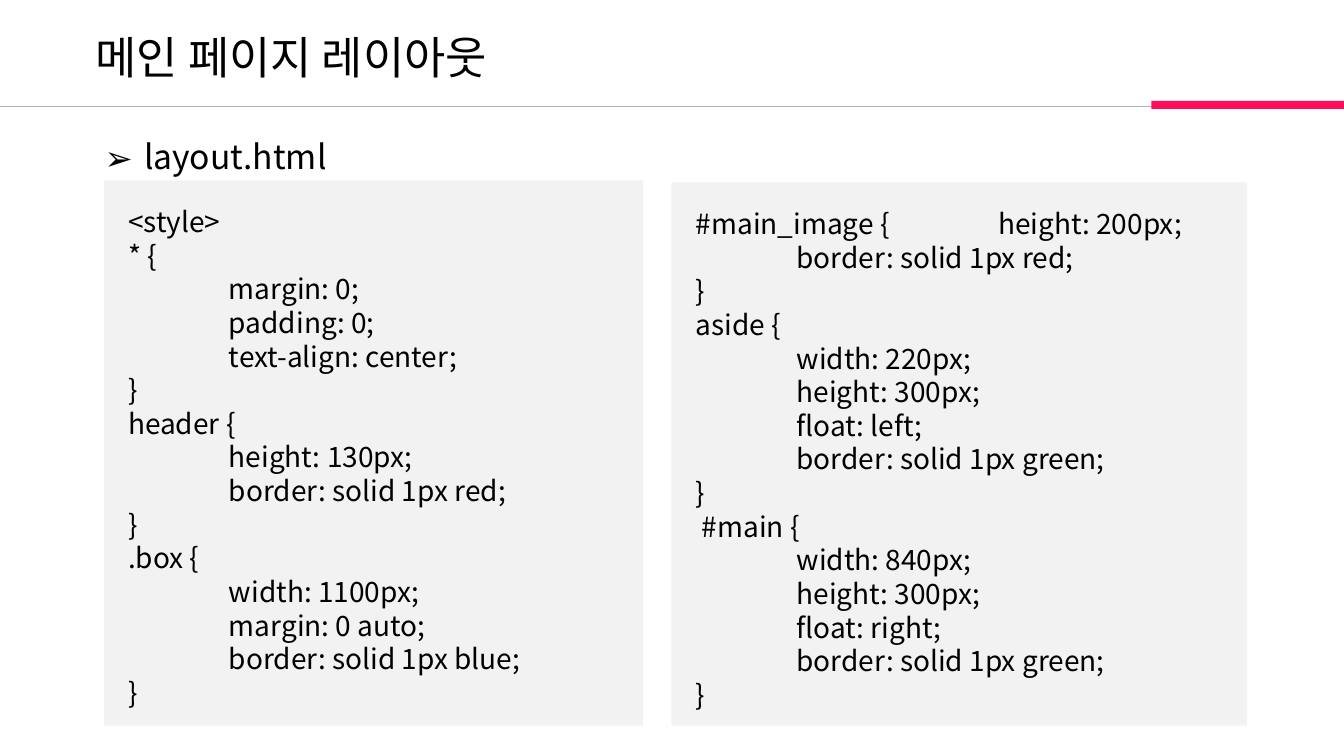
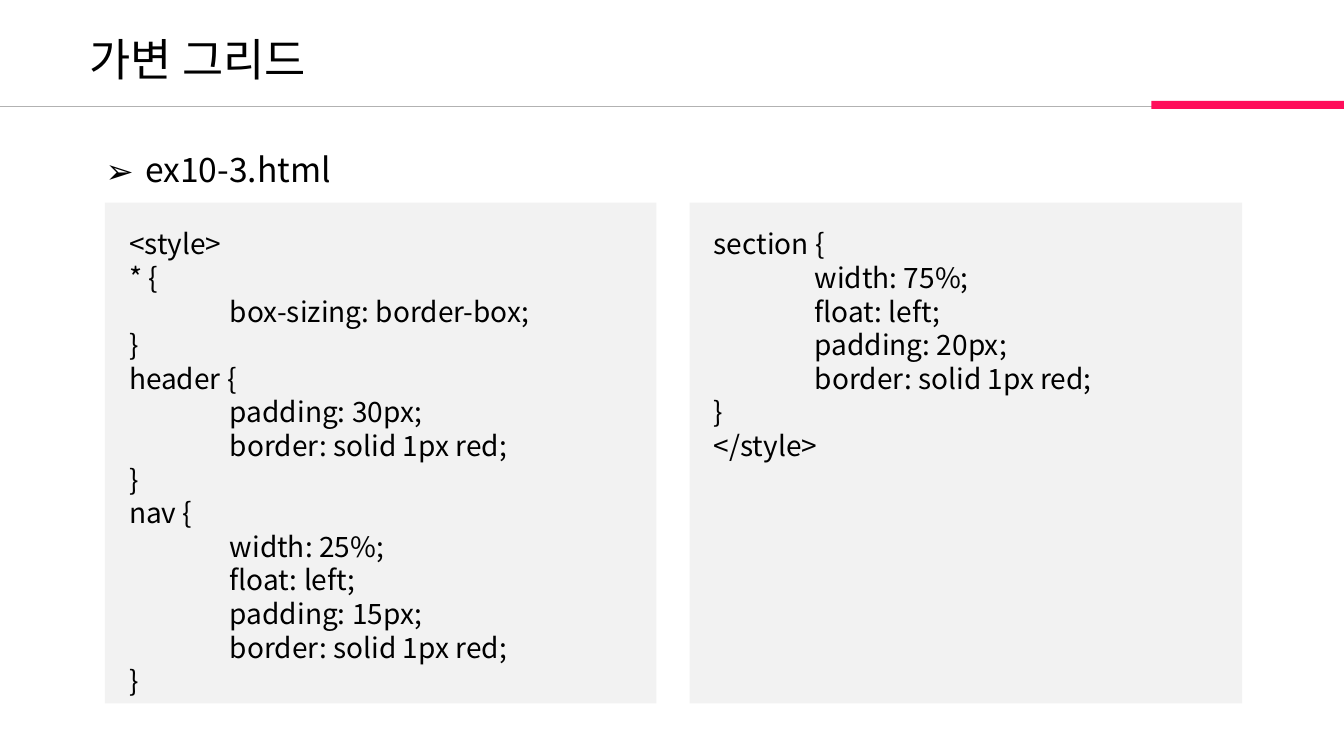
"""Build two slides of CSS listings under a shared title band."""
from dataclasses import dataclass

import lxml.etree
import pptx
import pptx.dml.color
import pptx.enum.shapes
import pptx.enum.text
import pptx.oxml.ns
import pptx.util

EMU_PER_PX = 9144
SLIDE_WIDTH, SLIDE_HEIGHT = 1333, 750
RULE_TOP = 106
CODE_INSET = 24
CODE_TAB = 100
BULLET_INDENT = 39
FONT = "Noto Sans CJK KR"
COLORS = {"text": "000000", "accent": "FF0D5A", "rule": "B2B2B2", "panel": "F2F2F2"}


@dataclass(frozen=True)
class Box:
    left: int
    top: int
    width: int
    height: int


@dataclass(frozen=True)
class Label:
    text: str
    box: Box


@dataclass(frozen=True)
class Listing:
    box: Box
    lines: tuple[str, ...]


@dataclass(frozen=True)
class Page:
    title: Label
    filename: Label
    listings: tuple[Listing, ...]


ACCENT = Box(1142, 100, 192, 8)

PAGES = (
    Page(
        Label("메인 페이지 레이아웃", Box(85, 25, 874, 64)),
        Label("layout.html", Box(94, 110, 360, 63)),
        (
            Listing(Box(103, 179, 535, 541), (
                "<style>",
                "* {",
                "\tmargin: 0;",
                "\tpadding: 0;",
                "\ttext-align: center;",
                "}",
                "header {",
                "\theight: 130px;",
                "\tborder: solid 1px red;",
                "}",
                ".box {",
                "\twidth: 1100px;",
                "\tmargin: 0 auto;",
                "\tborder: solid 1px blue;",
                "}",
            )),
            Listing(Box(666, 181, 571, 539), (
                "#main_image {  \theight: 200px;",
                "\tborder: solid 1px red;",
                "}",
                "aside {",
                "\twidth: 220px;",
                "\theight: 300px;",
                "\tfloat: left;",
                "\tborder: solid 1px green;",
                "}",
                " #main {",
                "\twidth: 840px;",
                "\theight: 300px;",
                "\tfloat: right;",
                "\tborder: solid 1px green;",
                "}",
            )),
        ),
    ),
    Page(
        Label("가변 그리드", Box(79, 27, 874, 64)),
        Label("ex10-3.html", Box(95, 123, 360, 63)),
        (
            Listing(Box(104, 201, 547, 497), (
                "<style>",
                "* {",
                "\tbox-sizing: border-box;",
                "}",
                "header {",
                "\tpadding: 30px;",
                "\tborder: solid 1px red;",
                "}",
                "nav {",
                "\twidth: 25%;",
                "\tfloat: left;",
                "\tpadding: 15px;",
                "\tborder: solid 1px red;",
                "}",
            )),
            Listing(Box(684, 201, 548, 497), (
                "section {",
                "\twidth: 75%;",
                "\tfloat: left;",
                "\tpadding: 20px;",
                "\tborder: solid 1px red;",
                "}",
                "</style>",
            )),
        ),
    ),
)


def px(length: int) -> pptx.util.Emu:
    """Turn px into EMU."""
    return pptx.util.Emu(length * EMU_PER_PX)


def place(box: Box) -> tuple[pptx.util.Emu, ...]:
    """Give the box as left, top, width and height in EMU."""
    return px(box.left), px(box.top), px(box.width), px(box.height)


def color(name: str) -> pptx.dml.color.RGBColor:
    """Look up a named colour."""
    return pptx.dml.color.RGBColor.from_string(COLORS[name])


def style_text(frame, size: int) -> None:
    """Apply the common font to every run of a frame."""
    for paragraph in frame.paragraphs:
        paragraph.alignment = pptx.enum.text.PP_ALIGN.LEFT
        for run in paragraph.runs:
            run.font.size = pptx.util.Pt(size)
            run.font.color.rgb = color("text")
            run.font.name = FONT
            lxml.etree.SubElement(
                run.font._element, pptx.oxml.ns.qn("a:ea"), typeface=FONT
            )


def add_block(slide, box: Box, fill: str):
    """Draw a plain filled rectangle."""
    block = slide.shapes.add_shape(
        pptx.enum.shapes.MSO_SHAPE.RECTANGLE, *place(box)
    )
    block.shadow.inherit = False
    block.fill.solid()
    block.fill.fore_color.rgb = color(fill)
    block.line.fill.background()
    return block


def add_header_band(slide) -> None:
    """Draw the thin rule and the accent bar."""
    rule = slide.shapes.add_connector(
        pptx.enum.shapes.MSO_CONNECTOR.STRAIGHT,
        px(0), px(RULE_TOP), px(SLIDE_WIDTH), px(RULE_TOP),
    )
    rule.line.color.rgb = color("rule")
    rule.line.width = pptx.util.Pt(0.5)
    lxml.etree.SubElement(
        rule._element.spPr, pptx.oxml.ns.qn("a:effectLst")
    )
    add_block(slide, ACCENT, "accent")


def add_label(slide, label: Label, size: int):
    """Write a one-line text box and return its paragraph."""
    frame = slide.shapes.add_textbox(*place(label.box)).text_frame
    frame.word_wrap = True
    frame.auto_size = pptx.enum.text.MSO_AUTO_SIZE.SHAPE_TO_FIT_TEXT
    frame.text = label.text
    style_text(frame, size)
    return frame.paragraphs[0]


def add_filename(slide, label: Label) -> None:
    """Write the file name with an arrow bullet."""
    paragraph = add_label(slide, label, 24)
    paragraph.line_spacing = 1.5
    properties = paragraph._p.get_or_add_pPr()
    properties.set("marL", str(px(BULLET_INDENT)))
    properties.set("indent", str(-px(BULLET_INDENT)))
    lxml.etree.SubElement(properties, pptx.oxml.ns.qn("a:buFont"), typeface=FONT)
    lxml.etree.SubElement(properties, pptx.oxml.ns.qn("a:buChar"), char="➢")


def add_listing(slide, listing: Listing) -> None:
    """Draw a grey panel holding code."""
    frame = add_block(slide, listing.box, "panel").text_frame
    frame.word_wrap = True
    frame.vertical_anchor = pptx.enum.text.MSO_ANCHOR.TOP
    frame.margin_left = frame.margin_right = px(CODE_INSET)
    frame.margin_top = frame.margin_bottom = px(CODE_INSET)
    frame.text = "\n".join(listing.lines)
    for paragraph in frame.paragraphs:
        paragraph._p.get_or_add_pPr().set("defTabSz", str(px(CODE_TAB)))
    style_text(frame, 20)


def main() -> None:
    """Build and save the presentation."""
    deck = pptx.Presentation()
    deck.slide_width, deck.slide_height = px(SLIDE_WIDTH), px(SLIDE_HEIGHT)
    for page in PAGES:
        slide = deck.slides.add_slide(deck.slide_layouts[6])
        add_header_band(slide)
        add_label(slide, page.title, 32)
        add_filename(slide, page.filename)
        for listing in page.listings:
            add_listing(slide, listing)
    deck.save("out.pptx")


if __name__ == "__main__":
    main()
